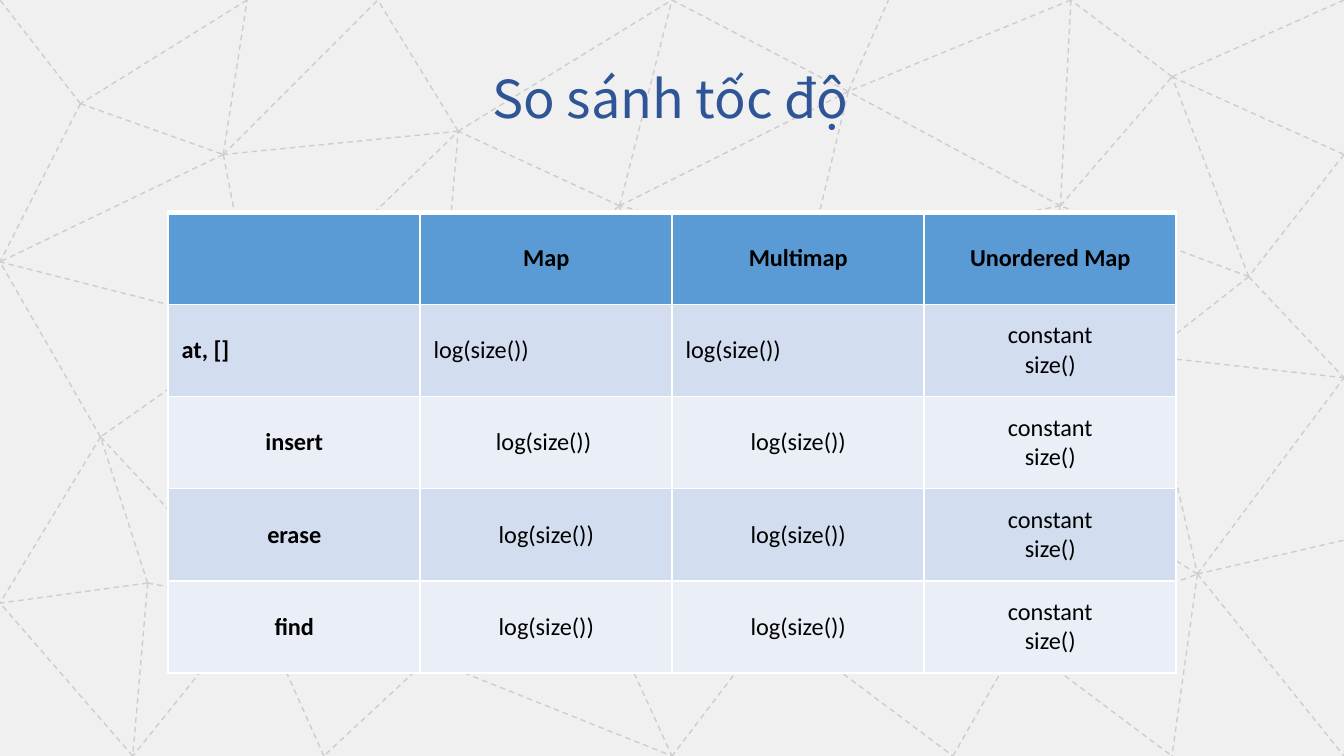
import pptx
import pptx.util
import pptx.dml.color
import pptx.enum.dml
import pptx.enum.shapes
import pptx.enum.text
import pptx.oxml
import pptx.oxml.ns
import lxml.etree

Cm = pptx.util.Cm
Pt = pptx.util.Pt
align = pptx.enum.text.PP_ALIGN


def color(code):
    return pptx.dml.color.RGBColor.from_string(code)


def style(para, size, font, code, bold=False):
    for run in para.runs:
        run.font.size = Pt(size)
        run.font.name = font
        run.font.bold = bold
        run.font.color.rgb = color(code)


deck = pptx.Presentation()
deck.slide_width = Cm(25.4)
deck.slide_height = Cm(14.29)
slide = deck.slides.add_slide(deck.slide_layouts[6])

back = slide.shapes.add_shape(
    pptx.enum.shapes.MSO_SHAPE.RECTANGLE, 0, 0, deck.slide_width, deck.slide_height)
back.shadow.inherit = False
back.fill.solid()
back.fill.fore_color.rgb = color("F0F0F0")
back.line.fill.background()

nodes = {
    "a": (4.22, 2.92), "b": (4.67, 0), "c": (0, 4.95), "d": (7.14, 0),
    "e": (8.66, 2.48), "f": (4.85, 6.18), "g": (8.31, 6.52), "h": (7.62, 9.03),
    "i": (4.83, 11.4), "j": (1.9, 8.26), "k": (0, 11.4), "l": (2.79, 11.02),
    "m": (2.51, 14.29), "n": (8.1, 12.45), "o": (6.12, 14.29), "p": (11.38, 11.4),
    "q": (12.7, 14.29), "r": (12.19, 7.47), "s": (11.71, 3.89), "t": (12.7, 0),
    "u": (16.03, 1.73), "v": (15.3, 4.8), "w": (16.03, 9.22), "x": (14.63, 11.76),
    "y": (16.79, 0), "z": (20.04, 3.89), "A": (19.25, 6.83), "B": (20.07, 9.25),
    "C": (19.25, 12.12), "D": (18.01, 14.29), "E": (22.15, 14.29), "F": (21.69, 6.73),
    "G": (22.15, 1.45), "H": (20.24, 0), "I": (25.4, 0), "J": (25.4, 2.92),
    "K": (23.6, 5.23), "L": (25.4, 7.14), "M": (22.63, 10.85), "N": (25.4, 14.29),
    "O": (25.4, 10.21), "P": (1.52, 1.96), "Q": (0, 0),
}
edges = (
    "ab ac ad ea af fe fc fg gh hf hi if fj ji jc jk lk im mk in nh no oi np nq "
    "pq ph pr rh gr ge gs sr se ed et st tu us uv vs vr rw wv wx xp xq uy zu zv "
    "wA Az AB Bw Cw xD DC Cx CB CE Fz zG GH GI GJ JK KG Kz KF KL BM ML MN ME Av "
    "BF FL FA FM Hz xr lj li lm CM MO bP Pa Pc PQ Hu"
)
mesh = slide.shapes.add_group_shape()
for start, end in edges.split():
    x, y = nodes[start]
    u, v = nodes[end]
    line = mesh.shapes.add_connector(
        pptx.enum.shapes.MSO_CONNECTOR.STRAIGHT, Cm(x), Cm(y), Cm(u), Cm(v))
    line.line.color.rgb = color("CDCDCD")
    line.line.width = Pt(0.75)
    line.line.dash_style = pptx.enum.dml.MSO_LINE.DASH
    lxml.etree.SubElement(line._element.spPr, pptx.oxml.ns.qn("a:effectLst"))

title = slide.shapes.add_textbox(Cm(6.32), Cm(0.53), Cm(12.7), Cm(2.01))
frame = title.text_frame
frame.word_wrap = True
frame.auto_size = pptx.enum.text.MSO_AUTO_SIZE.SHAPE_TO_FIT_TEXT
frame.text = "So sánh tốc độ"
para = frame.paragraphs[0]
para.alignment = align.CENTER
para.line_spacing = 1.5
style(para, 28, "Noto Sans CJK SC", "2F5597")

log = "log(size())"
const = "constant\nsize()"
rows = [
    ["", "Map", "Multimap", "Unordered Map"],
    ["at, []", log, log, const],
    ["insert", log + " ", log, const],
    ["erase", log, log, const],
    ["find", log, log, const],
]
fills = ["5B9BD5", "D2DEEF", "EAEFF7", "D2DEEF", "EAEFF7"]
grid = slide.shapes.add_table(5, 4, Cm(3.18), Cm(4.01), Cm(19.05), Cm(8.71)).table
for r, texts in enumerate(rows):
    for c, text in enumerate(texts):
        cell = grid.cell(r, c)
        props = cell._tc.get_or_add_tcPr()
        for side in "LRTB":
            width = Pt(3 if r == 0 and side == "T" else 1)
            props.append(pptx.oxml.parse_xml(
                f'<a:ln{side} {pptx.oxml.ns.nsdecls("a")} w="{width}"><a:solidFill>'
                f'<a:srgbClr val="FFFFFF"/></a:solidFill></a:ln{side}>'))
        cell.fill.solid()
        cell.fill.fore_color.rgb = color(fills[r])
        cell.vertical_anchor = pptx.enum.text.MSO_ANCHOR.MIDDLE
        cell.text_frame.text = text
        for para in cell.text_frame.paragraphs:
            para.alignment = align.LEFT if r == 1 and c < 3 else align.CENTER
            style(para, 13, "Calibri", "000000", r == 0 or c == 0)

deck.save("out.pptx")
